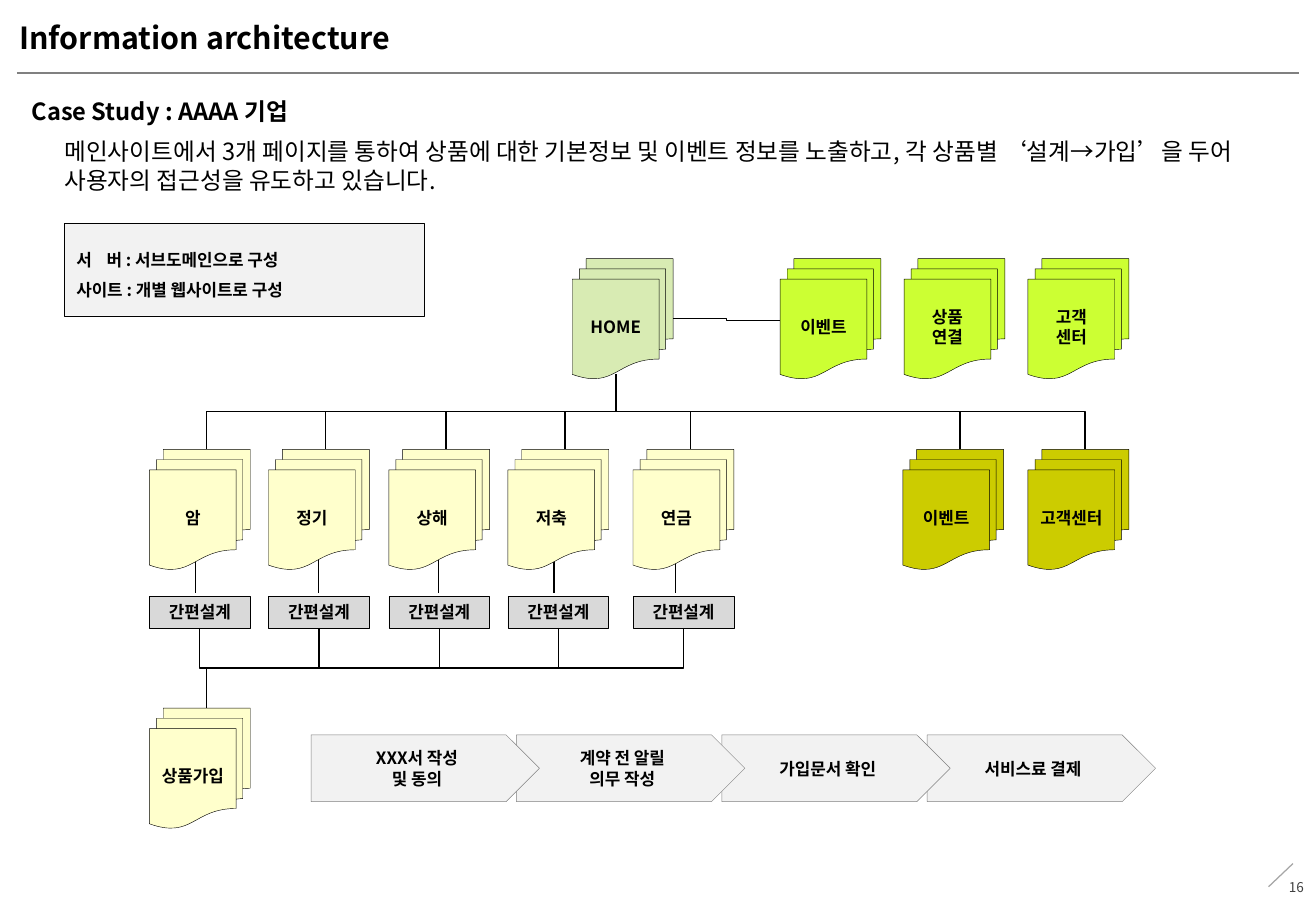
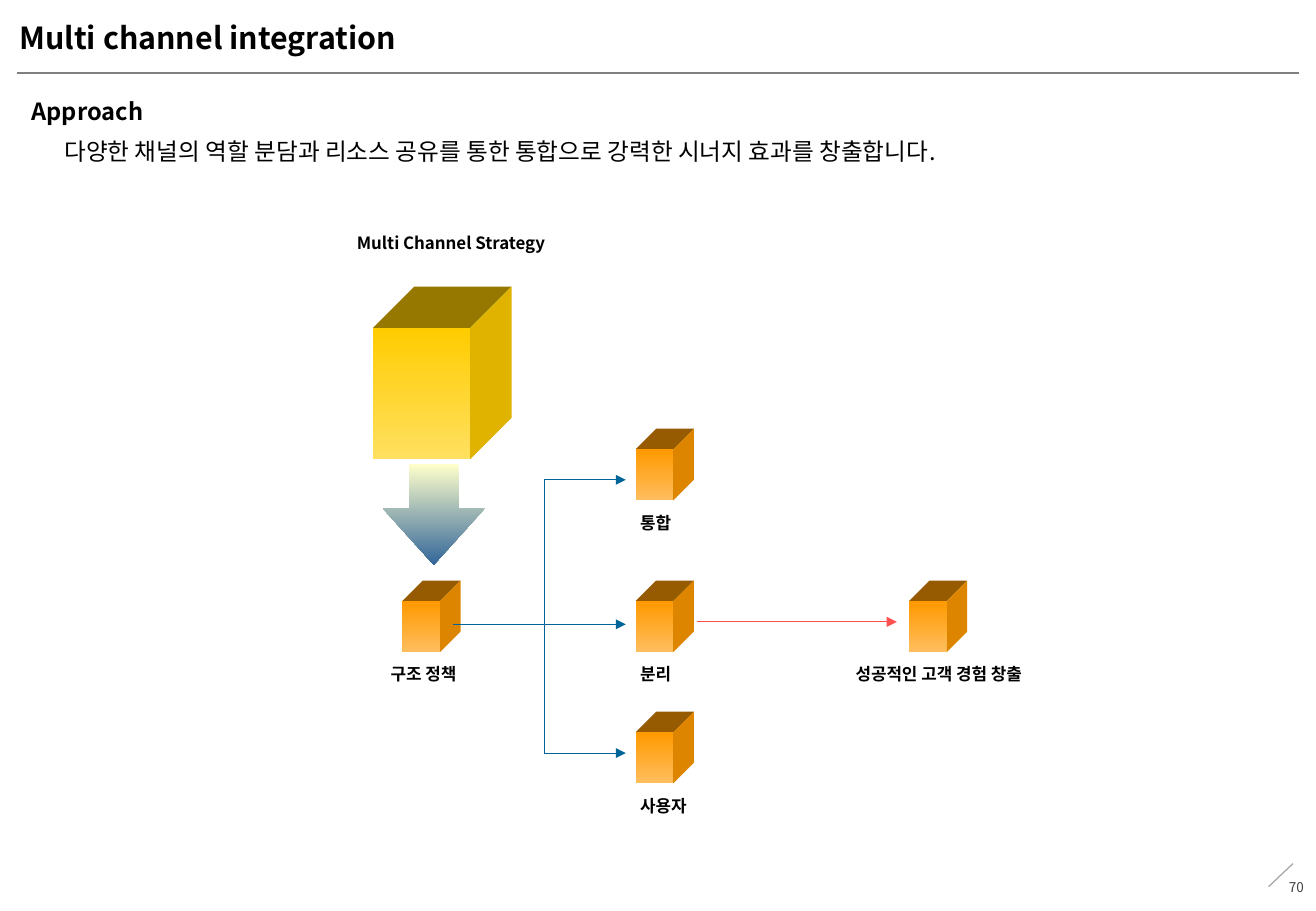
import pptx
import pptx.util
import pptx.oxml
import pptx.oxml.ns
import pptx.dml.color
import pptx.enum.shapes
import pptx.enum.text

RGB = pptx.dml.color.RGBColor
MSO = pptx.enum.shapes.MSO_SHAPE
LINK = pptx.enum.shapes.MSO_CONNECTOR
ALIGN = pptx.enum.text.PP_ALIGN
ANCHOR = pptx.enum.text.MSO_ANCHOR
Pt = pptx.util.Pt
qn = pptx.oxml.ns.qn

PX = 9144  # EMU per px, 100 px to the inch
FONT = "Noto Sans CJK KR"

BLACK = RGB(0x00, 0x00, 0x00)
DARK_GREY = RGB(0x40, 0x40, 0x40)
GREY = RGB(0x80, 0x80, 0x80)
SLASH_GREY = RGB(0xA6, 0xA6, 0xA6)
MID_GREY = RGB(0xD9, 0xD9, 0xD9)
PALE_GREY = RGB(0xF2, 0xF2, 0xF2)
SAGE = RGB(0xD8, 0xEB, 0xB3)
LIME = RGB(0xCC, 0xFF, 0x33)
OLIVE = RGB(0xCC, 0xCC, 0x00)
CREAM = RGB(0xFF, 0xFF, 0xCC)
BLUE = RGB(0x00, 0x66, 0x99)
STEEL = RGB(0x33, 0x66, 0x99)
RED = RGB(0xFF, 0x50, 0x50)
# Cube colours: front top, front bottom, roof, side
ORANGE_CUBE = (RGB(0xFF, 0x99, 0x00), RGB(0xFF, 0xBE, 0x5E),
               RGB(0x96, 0x5A, 0x00), RGB(0xDE, 0x85, 0x00))
YELLOW_CUBE = (RGB(0xFF, 0xCC, 0x00), RGB(0xFF, 0xE0, 0x60),
               RGB(0x96, 0x78, 0x00), RGB(0xDF, 0xB3, 0x00))

TOP, LEFT, BOTTOM, RIGHT = range(4)
DOC_SITES = {TOP: (47, 0), LEFT: (0, 51), BOTTOM: (36, 95), RIGHT: (83, 49)}


def add_element(parent, tag, **attrs):
    e = pptx.oxml.parse_xml(f"<{tag} {pptx.oxml.ns.nsdecls('a')}/>")
    for name, value in attrs.items():
        e.set(name, str(value))
    parent.append(e)
    return e


def set_text(tf, text, size=10, bold=True, color=BLACK, align=ALIGN.LEFT,
             anchor=ANCHOR.TOP, spacing=None, insets=(10, 5, 10, 5),
             tab=None, plain=False):
    """Fill a text frame, one paragraph to a line."""
    tf.word_wrap = True
    tf.auto_size = pptx.enum.text.MSO_AUTO_SIZE.NONE
    tf.vertical_anchor = anchor
    tf.margin_left, tf.margin_top, tf.margin_right, tf.margin_bottom = (
        v * PX for v in insets)
    for i, line in enumerate(text.split("\n")):
        p = tf.add_paragraph() if i else tf.paragraphs[0]
        pPr = p._p.get_or_add_pPr()
        if plain:
            pPr.set("marL", "0")
            pPr.set("indent", "0")
            add_element(pPr, "a:buNone")
        if tab:
            add_element(add_element(pPr, "a:tabLst"), "a:tab",
                        pos=tab * PX, algn="l")
        p.alignment = align
        p.space_before = Pt(0)
        if spacing:
            p.line_spacing = spacing
        r = p.add_run()
        r.text = line
        r.font.size = Pt(size)
        r.font.bold = bold
        r.font.color.rgb = color
        r.font.name = FONT
        add_element(r._r.get_or_add_rPr(), "a:ea", typeface=FONT)


class Deck:
    def __init__(self):
        self.prs = pptx.Presentation()
        self.prs.slide_width, self.prs.slide_height = 1083 * PX, 750 * PX
        self.s = None

    def slide(self, title, heading, body, body_height, number):
        """Start a slide with the shared frame and its three texts."""
        self.s = self.prs.slides.add_slide(self.prs.slide_layouts[3])
        self.line(14, 60, 1069, 60, GREY)
        self.line(1064, 711, 1044, 730, SLASH_GREY)
        self.label(1022, 710, 61, 40, number, size=8, bold=False,
                   color=DARK_GREY, align=ALIGN.RIGHT, anchor=ANCHOR.MIDDLE)
        self.holder(0, 16, 10, 809, 42, title, size=18, insets=(0, 6, 0, 6))
        self.holder(1, 16, 75, 1054, 34, heading, size=14)
        self.holder(2, 53, 108, 976, body_height, body, size=14, bold=False,
                    insets=(0, 5, 10, 5))

    def holder(self, idx, x, y, w, h, text, **fmt):
        sp = self.s.placeholders[idx]
        sp.left, sp.top, sp.width, sp.height = (v * PX for v in (x, y, w, h))
        set_text(sp.text_frame, text, plain=True, **fmt)

    def label(self, x, y, w, h, text, **fmt):
        sp = self.s.shapes.add_textbox(x * PX, y * PX, w * PX, h * PX)
        set_text(sp.text_frame, text, **fmt)

    def shape(self, kind, x, y, w, h, fill, line=None, text=None, **fmt):
        """A preset shape; a pair of fill colours makes a vertical gradient."""
        sp = self.s.shapes.add_shape(kind, x * PX, y * PX, w * PX, h * PX)
        self.paint(sp, fill, line)
        if text:
            fmt = {"align": ALIGN.CENTER, "anchor": ANCHOR.MIDDLE, **fmt}
            set_text(sp.text_frame, text, **fmt)
        return sp

    def paint(self, sp, fill, line=None):
        sp.shadow.inherit = False
        if isinstance(fill, RGB):
            sp.fill.solid()
            sp.fill.fore_color.rgb = fill
        else:
            sp.fill.gradient()
            sp.fill.gradient_angle = 270
            for stop, color in zip(sp.fill.gradient_stops, fill):
                stop.color.rgb = color
        if line is None:
            sp.line.fill.background()
        else:
            sp.line.color.rgb = line
            sp.line.width = Pt(0.25)

    def document(self, x, y, fill, text):
        return self.shape(MSO.FLOWCHART_MULTIDOCUMENT, x, y, 83, 99, fill,
                          BLACK, text, insets=(0, 0, 0, 0))

    def face(self, points, fill):
        fb = self.s.shapes.build_freeform(*points[0], scale=PX)
        fb.add_line_segments(points[1:], close=True)
        self.paint(fb.convert_to_shape(), fill)

    def cube(self, x, y, w, h, depth, colors):
        """A block seen from the upper right; x, y, w, h give its front."""
        top, bottom, roof, side = colors
        r, b, d = x + w, y + h, depth
        self.face([(x, y), (x + d, y - d), (r + d, y - d), (r, y)], roof)
        self.face([(r, y), (r + d, y - d), (r + d, b - d), (r, b)], side)
        self.shape(MSO.RECTANGLE, x, y, w, h, (top, bottom))

    def style_line(self, cx, color, width):
        cx.line.color.rgb = color
        cx.line.width = Pt(width)
        add_element(cx._element.spPr, "a:effectLst")

    def line(self, x1, y1, x2, y2, color=BLACK, width=0.75, arrow=False):
        cx = self.s.shapes.add_connector(LINK.STRAIGHT, x1 * PX, y1 * PX,
                                         x2 * PX, y2 * PX)
        self.style_line(cx, color, width)
        if arrow:
            add_element(cx.line._get_or_add_ln(), "a:tailEnd", type="triangle")

    def elbow(self, a, a_site, b, b_site):
        """Join two shapes; from a bottom site the line leaves downwards."""
        (x1, y1), (x2, y2) = self.site(a, a_site), self.site(b, b_site)
        cx = self.s.shapes.add_connector(LINK.ELBOW, x1, y1, x2, y2)
        cx.begin_connect(a, a_site)
        cx.end_connect(b, b_site)
        if a_site == BOTTOM:
            # The frame is laid on its side, then turned about its centre
            mx, my = (x1 + x2) // 2, (y1 + y2) // 2
            half_w, half_h = (y2 - y1) // 2, abs(x2 - x1) // 2
            turn, sign = (270, -1) if x2 > x1 else (90, 1)
            x1, x2 = mx - sign * half_w, mx + sign * half_w
            y1, y2 = my - half_h, my + half_h
            cx._element.spPr.find(qn("a:xfrm")).set("rot", str(turn * 60000))
        cx.begin_x, cx.begin_y, cx.end_x, cx.end_y = x1, y1, x2, y2
        self.style_line(cx, BLACK, 0.75)

    def site(self, sp, idx):
        if sp.auto_shape_type == MSO.RECTANGLE:
            return sp.left + sp.width // 2, sp.top + sp.height
        dx, dy = DOC_SITES[idx]
        return sp.left + dx * PX, sp.top + dy * PX


def architecture(deck):
    deck.slide("Information architecture", "Case Study : AAAA 기업",
               "메인사이트에서 3개 페이지를 통하여 상품에 대한 기본정보 및 이벤트 정보를 "
               "노출하고, 각 상품별 ‘설계→가입’을 두어 사용자의 접근성을 유도하고 있습니다.",
               57, "16")

    # Site map
    home = deck.document(471, 213, SAGE, "HOME")
    event, *_ = [deck.document(x, 213, LIME, text) for x, text in
                 ((642, "이벤트"), (744, "상품\n연결"), (846, "고객\n센터"))]
    services = [deck.document(x, 370, OLIVE, text) for x, text in
                ((743, "이벤트"), (846, "고객센터"))]
    for x in (161, 262, 361, 456, 556):
        deck.line(x, 457, x, 488)
    columns = (123, 221, 320, 418, 521)
    products = [deck.document(x, 370, CREAM, text) for x, text in
                zip(columns, ("암", "정기", "상해", "저축", "연금"))]
    signup = deck.document(123, 583, CREAM, "상품가입")
    designs = [deck.shape(MSO.RECTANGLE, x, 491, 83, 26, MID_GREY, BLACK,
                          "간편설계") for x in columns]

    # Sign-up steps, each lying over the next
    steps = ("XXX서 작성\n및 동의", "계약 전 알릴\n의무 작성",
             "가입문서 확인", "서비스료 결제")
    for i, text in reversed(list(enumerate(steps))):
        deck.shape(MSO.PENTAGON, 256 + 169 * i, 605, 188, 55, PALE_GREY, GREY,
                   text)

    # Connectors
    for design in designs:
        deck.elbow(design, BOTTOM, signup, TOP)
    for page in products + services:
        deck.elbow(home, BOTTOM, page, TOP)
    deck.elbow(home, RIGHT, event, LEFT)

    # Note
    deck.shape(MSO.RECTANGLE, 53, 184, 296, 76, PALE_GREY, BLACK,
               "서\t버 : 서브도메인으로 구성\n사이트 : 개별 웹사이트로 구성",
               align=ALIGN.LEFT, spacing=1.5, tab=25)


def integration(deck):
    deck.slide("Multi channel integration", "Approach",
               "다양한 채널의 역할 분담과 리소스 공유를 통한 통합으로 강력한 시너지 효과를 "
               "창출합니다.", 34, "70")

    # Strategy block and arrow
    deck.label(282, 187, 178, 27, "Multi Channel Strategy",
               align=ALIGN.CENTER)
    deck.cube(307, 270, 80, 108, 34, YELLOW_CUBE)
    arrow = deck.shape(MSO.DOWN_ARROW, 315, 382, 84, 83, (CREAM, STEEL))
    arrow.adjustments[0], arrow.adjustments[1] = 0.48, 0.56

    # Policy, channels and result
    for x, y in ((331, 495), (523, 370), (523, 495), (523, 603), (748, 495)):
        deck.cube(x, y, 31, 42, 17, ORANGE_CUBE)
    for x, y, w, text, align in (
            (265, 545, 167, "구조 정책", ALIGN.CENTER),
            (517, 420, 175, "통합", ALIGN.LEFT),
            (517, 545, 175, "분리", ALIGN.LEFT),
            (517, 653, 175, "사용자", ALIGN.LEFT),
            (681, 545, 183, "성공적인 고객 경험 창출", ALIGN.CENTER)):
        deck.label(x, y, w, 23, text, align=align, spacing=0.8)

    # Flow lines
    deck.line(448, 395, 448, 620, BLUE, 0.5)
    for x1, x2, y, color in ((448, 515, 395, BLUE), (373, 515, 514, BLUE),
                             (448, 515, 620, BLUE), (574, 738, 512, RED)):
        deck.line(x1, y, x2, y, color, 0.5, arrow=True)


def main():
    deck = Deck()
    architecture(deck)
    integration(deck)
    deck.prs.save("out.pptx")


if __name__ == "__main__":
    main()
